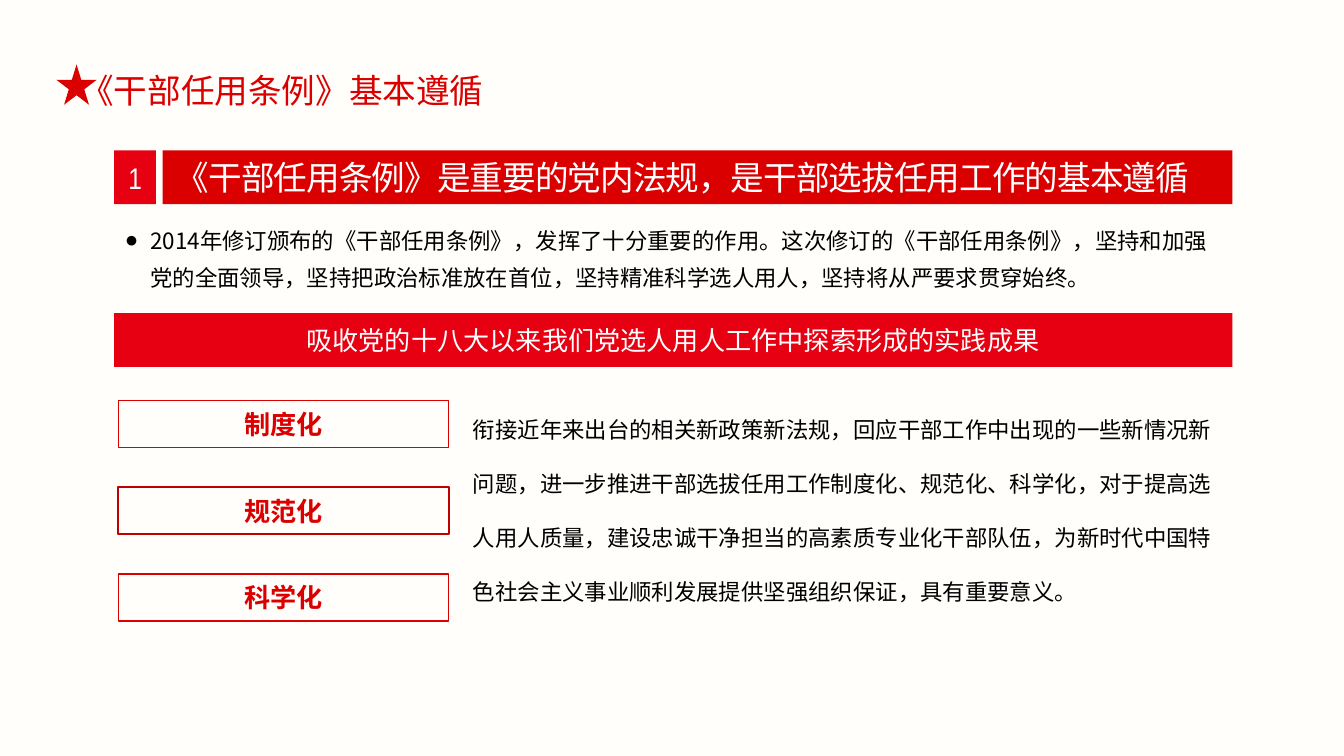
from dataclasses import dataclass

import pptx
import pptx.dml.color
import pptx.enum.shapes
import pptx.enum.text
import pptx.oxml.ns
import pptx.util
from lxml import etree

Inches = pptx.util.Inches
Pt = pptx.util.Pt
SHAPES = pptx.enum.shapes.MSO_SHAPE
ALIGN = pptx.enum.text.PP_ALIGN
ANCHOR = pptx.enum.text.MSO_ANCHOR
GROW = pptx.enum.text.MSO_AUTO_SIZE.SHAPE_TO_FIT_TEXT
qn = pptx.oxml.ns.qn


@dataclass(frozen=True)
class Theme:
    """Colours, fonts and type sizes of the slide."""
    paper: str = "FFFEFB"
    red: str = "DA0000"
    bright: str = "E60012"
    dark_red: str = "C00000"
    white: str = "FFFFFF"
    black: str = "000000"
    cjk: str = "Noto Sans CJK SC"
    latin: str = "Arial"
    narrow: str = "Arial Narrow"
    title: int = 18
    number: int = 16
    label: int = 14
    body: int = 12


THEME = Theme()


def rgb(value):
    """Turn a hex string into a colour."""
    return pptx.dml.color.RGBColor.from_string(value)


def apply(target, formats):
    """Set each attribute named in a dict of format values."""
    for name, value in formats.items():
        setattr(target, name, value)


def write(shape, text, size, color, font=THEME.cjk, bold=False, spacing=None,
          frame_format=None, paragraph_format=None, bullet=None):
    """Fill a shape with one formatted paragraph."""
    frame = shape.text_frame
    apply(frame, {"word_wrap": True, **(frame_format or {})})
    paragraph = frame.paragraphs[0]
    apply(paragraph, {"alignment": ALIGN.LEFT, **(paragraph_format or {})})
    if bullet:
        properties = paragraph._p.get_or_add_pPr()
        properties.set("marL", str(Inches(0.19)))
        properties.set("indent", str(Inches(-0.19)))
        etree.SubElement(properties, qn("a:buFont")).set("typeface", THEME.latin)
        etree.SubElement(properties, qn("a:buChar")).set("char", bullet)
    run = paragraph.add_run()
    run.text = text
    apply(run.font, {"size": Pt(size), "bold": bold, "name": font})
    run.font.color.rgb = rgb(color)
    properties = run._r.get_or_add_rPr()
    etree.SubElement(properties, qn("a:ea")).set("typeface", THEME.cjk)
    if spacing is not None:
        properties.set("spc", str(round(spacing * 100)))


def add_block(slide, box, fill=None, line=None, line_width=0.75, kind=SHAPES.RECTANGLE):
    """Add a flat shape with an optional fill and outline."""
    shape = slide.shapes.add_shape(kind, *map(Inches, box))
    shape.shadow.inherit = False
    if fill:
        shape.fill.solid()
        shape.fill.fore_color.rgb = rgb(fill)
    else:
        shape.fill.background()
    if line:
        shape.line.color.rgb = rgb(line)
        shape.line.width = Pt(line_width)
    else:
        shape.line.fill.background()
    return shape


def add_body(slide, box, text, line_spacing, bullet=None):
    """Add a wrapped block of running text."""
    shape = slide.shapes.add_textbox(*map(Inches, box))
    write(shape, text, THEME.body, THEME.black, bullet=bullet,
          frame_format={"auto_size": GROW},
          paragraph_format={"line_spacing": line_spacing})


def add_title(slide, box, text):
    """Add the slide title with its leading star."""
    left, top, width, height = box
    shape = slide.shapes.add_textbox(*map(Inches, (left + 0.08, top - 0.01, width - 0.08, height)))
    write(shape, text, THEME.title, THEME.red, THEME.latin,
          frame_format={"word_wrap": False, "auto_size": GROW})
    add_block(slide, (left, top, 0.3, 0.3), THEME.red, kind=SHAPES.STAR_5_POINT)


def add_heading(slide, box, number, text):
    """Add a numbered heading bar."""
    left, top, width, height = box
    offset = 0.36
    banner = add_block(slide, (left + offset, top, width - offset, height), THEME.red)
    write(banner, text, THEME.title, THEME.white, spacing=-0.5,
          frame_format={"vertical_anchor": ANCHOR.TOP, "auto_size": GROW})
    badge = add_block(slide, (left, top, 0.31, height), THEME.bright)
    write(badge, number, THEME.number, THEME.white, THEME.narrow,
          frame_format={"vertical_anchor": ANCHOR.MIDDLE},
          paragraph_format={"alignment": ALIGN.CENTER})


def add_subheading(slide, box, text):
    """Add a centred bar that introduces the lower half."""
    bar = add_block(slide, box, THEME.bright)
    write(bar, text, THEME.label, THEME.white,
          frame_format={"vertical_anchor": ANCHOR.MIDDLE,
                        "margin_left": Inches(0.13), "margin_right": Inches(0.13),
                        "margin_top": Inches(0.07), "margin_bottom": Inches(0.07)},
          paragraph_format={"alignment": ALIGN.CENTER})


def add_goals(slide, box, goals):
    """Stack outlined goal labels evenly from the top to the bottom of the box."""
    left, top, width, height = box
    label_height = 0.35
    step = (height - label_height) / (len(goals) - 1)
    for index, (text, line, line_width) in enumerate(goals):
        label = add_block(slide, (left, top + index * step, width, label_height),
                          line=line, line_width=line_width)
        write(label, text, THEME.label, THEME.red, bold=True,
              frame_format={"vertical_anchor": ANCHOR.MIDDLE, "word_wrap": False},
              paragraph_format={"alignment": ALIGN.CENTER})


def main():
    """Build and save the slide."""
    presentation = pptx.Presentation()
    apply(presentation, {"slide_width": Inches(10), "slide_height": Inches(10 * 9 / 16)})
    slide = presentation.slides.add_slide(presentation.slide_layouts[6])
    slide.background.fill.solid()
    slide.background.fill.fore_color.rgb = rgb(THEME.paper)

    add_title(slide, (0.42, 0.48, 3.31, 0.4), "《干部任用条例》基本遵循")
    add_heading(slide, (0.85, 1.12, 8.32, 0.4), "1",
                "《干部任用条例》是重要的党内法规，是干部选拔任用工作的基本遵循")
    add_body(slide, (0.83, 1.56, 8.42, 0.63),
             "2014年修订颁布的《干部任用条例》，发挥了十分重要的作用。"
             "这次修订的《干部任用条例》，坚持和加强党的全面领导，坚持把政治标准放在首位，"
             "坚持精准科学选人用人，坚持将从严要求贯穿始终。", Pt(20), bullet="●")
    add_subheading(slide, (0.85, 2.33, 8.32, 0.4),
                   "吸收党的十八大以来我们党选人用人工作中探索形成的实践成果")
    add_body(slide, (3.42, 2.85, 5.75, 1.72),
             "衔接近年来出台的相关新政策新法规，回应干部工作中出现的一些新情况新问题，"
             "进一步推进干部选拔任用工作制度化、规范化、科学化，对于提高选人用人质量，"
             "建设忠诚干净担当的高素质专业化干部队伍，"
             "为新时代中国特色社会主义事业顺利发展提供坚强组织保证，具有重要意义。", 2.0)
    add_goals(slide, (0.88, 2.98, 2.46, 1.64),
              [("制度化", THEME.red, 0.75),
               ("规范化", THEME.dark_red, 1),
               ("科学化", THEME.red, 0.75)])
    presentation.save("out.pptx")


if __name__ == "__main__":
    main()
